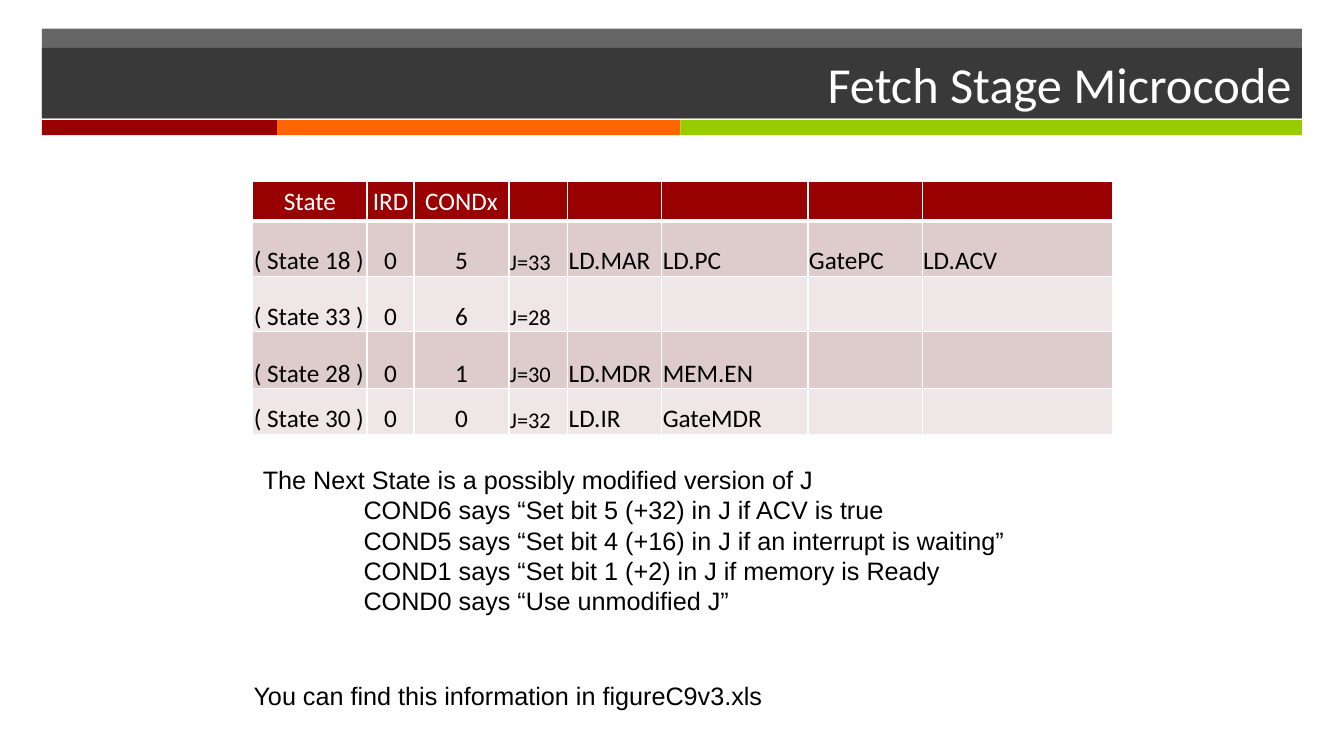
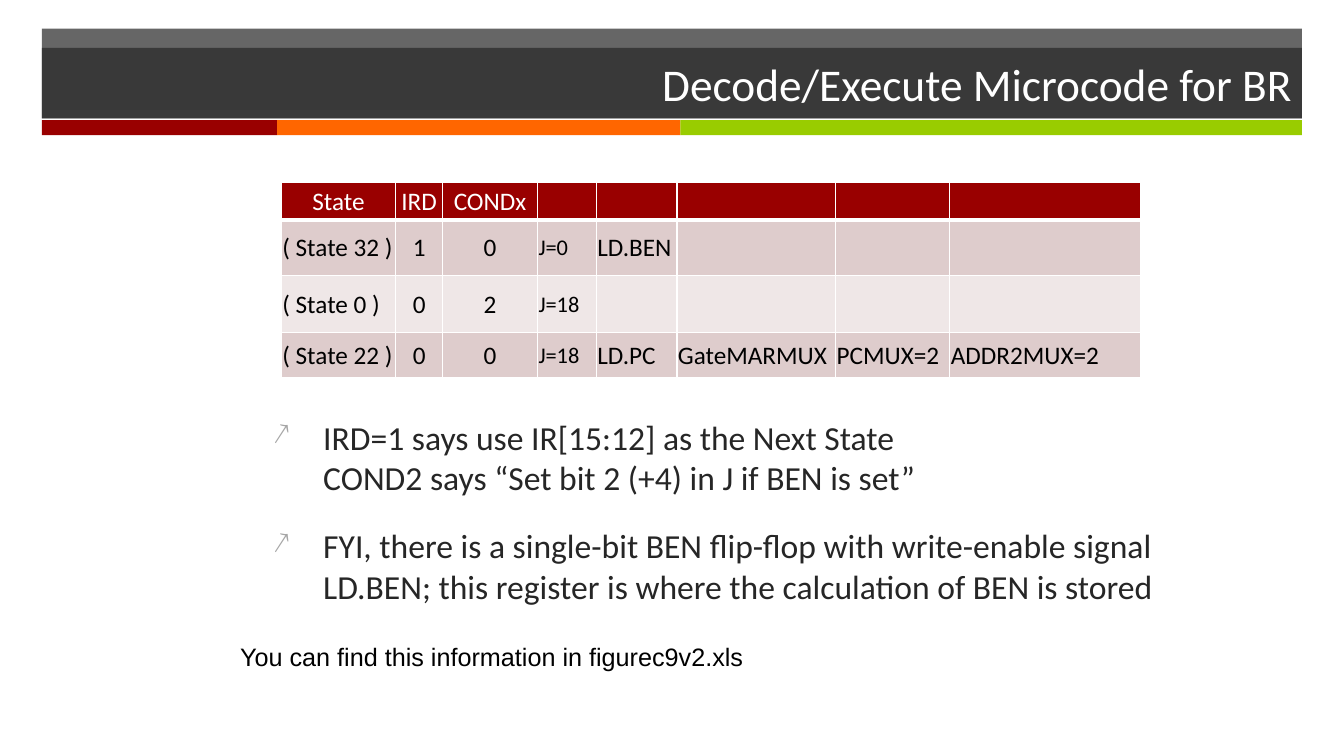
"""Build two slides on microcode tables, set on a grid of 160 columns by 90 rows."""
from lxml.etree import SubElement as Sub
from pptx import Presentation
from pptx.dml.color import RGBColor as Rgb
from pptx.enum.shapes import MSO_SHAPE as Shape
from pptx.enum.text import MSO_ANCHOR as Anchor, MSO_AUTO_SIZE as Fit, PP_ALIGN as Align
from pptx.oxml.ns import qn
from pptx.util import Inches, Pt

COLS, ROWS = 160, 90
UNIT = Inches(1) // 12
HUES = {"dark": "262626", "red": "990000", "orange": "FF6600", "green": "99CC00",
        "white": "FFFFFF", "black": "000000", "grey": "A6A6A6",
        "odd": "DECCCC", "even": "EFE7E7"}
LEFT, WIDTH = 5, 150
STRIPES = [("red", 28), ("orange", 48), ("green", 74)]
HEAD = ["State", "IRD", "CONDx"]


def grid(*cells):
    """Turn grid counts into lengths."""
    return [round(cell * UNIT) for cell in cells]


def paint(fill, hue):
    """Give a fill one solid colour."""
    fill.solid()
    fill.fore_color.rgb = Rgb.from_string(HUES[hue])


def veil(shape, share):
    """Make the fill of a shape partly clear."""
    tint = shape.element.find(".//" + qn("a:srgbClr"))
    Sub(tint, qn("a:alpha"), val=str(share * 1000))


def mark(para, sign):
    """Put a grey bullet sign on a paragraph."""
    props = para._p.get_or_add_pPr()
    Sub(Sub(props, qn("a:buClr")), qn("a:srgbClr"), val=HUES["grey"])
    Sub(props, qn("a:buSzPct"), val="90000")
    Sub(props, qn("a:buChar"), char=sign)


def write(frame, text, size=18, font="Arial", hue="black", align=Align.LEFT,
          indent=0, hang=0, sign=None, before=0):
    """Add one formatted paragraph to a text frame."""
    first = not frame.text
    para = frame.paragraphs[0] if first else frame.add_paragraph()
    para.text = text
    para.alignment = align
    if not first:
        para.space_before = Pt(before)
    if indent:
        props = para._p.get_or_add_pPr()
        props.set("marL", str(indent * UNIT))
        props.set("indent", str(-hang * UNIT))
    if sign:
        mark(para, sign)
    for run in para.runs:
        run.font.size, run.font.name, run.font.bold = Pt(size), font, False
        run.font.color.rgb = Rgb.from_string(HUES[hue])


def box(slide, x, y, w, h):
    """Add a wrapping text box and return its frame."""
    frame = slide.shapes.add_textbox(*grid(x, y, w, h)).text_frame
    frame.word_wrap = True
    return frame


def band(slide, layout, hue, *place):
    """Draw a plain bar and move it to the layout, behind all slides."""
    bar = slide.shapes.add_shape(Shape.RECTANGLE, *grid(*place))
    bar.shadow.inherit = False
    bar.line.fill.background()
    paint(bar.fill, hue)
    layout.shapes.element.append(bar.element)
    return bar


def dress(slide, layout):
    """Set the shared bands on the layout."""
    veil(band(slide, layout, "dark", LEFT, 3.4, WIDTH, 10.7), 70)
    x = LEFT
    for hue, width in STRIPES:
        band(slide, layout, hue, x, 14.3, width, 1.8)
        x += width


def name(slide, text, size):
    """Place and format the title."""
    title = slide.shapes.title
    title.left, title.top, title.width, title.height = grid(LEFT, 5.7, WIDTH, 8.4)
    paint(title.fill, "dark")
    veil(title, 70)
    frame = title.text_frame
    frame.auto_size, frame.vertical_anchor = Fit.NONE, Anchor.MIDDLE
    write(frame, text, size=size, font="Calibri", hue="white", align=Align.RIGHT)


def edge(cell, row):
    """Rule a cell in white, with a thick line below the head row."""
    props = cell._tc.get_or_add_tcPr()
    for side in "LRTB":
        thick = (row, side) in [(0, "B"), (1, "T")]
        line = Sub(props, qn("a:ln" + side), w=str(Pt(3 if thick else 1)))
        Sub(Sub(line, qn("a:solidFill")), qn("a:srgbClr"), val=HUES["white"])


def table(slide, x, y, widths, heights, states, anchor):
    """Add a table of states below a red head row."""
    data = [HEAD] + states
    place = grid(x, y, sum(widths), sum(heights))
    sheet = slide.shapes.add_table(len(data), len(widths), *place).table
    for col, width in zip(sheet.columns, grid(*widths)):
        col.width = width
    for row, height in zip(sheet.rows, grid(*heights)):
        row.height = height
    for r, texts in enumerate(data):
        for c in range(len(widths)):
            cell = sheet.cell(r, c)
            edge(cell, r)
            paint(cell.fill, "odd" if r % 2 else "even" if r else "red")
            cell.margin_left = cell.margin_right = cell.margin_top = Inches(0.01)
            cell.margin_bottom = 0
            cell.vertical_anchor = anchor if r else Anchor.MIDDLE
            if c < len(texts):
                write(cell.text_frame, texts[c], size=16 if c == 3 else 18,
                      font="Calibri", hue="black" if r else "white",
                      align=Align.CENTER if r == 0 or c in (1, 2) else Align.LEFT)


def fetch(slide):
    """Fill the slide on the fetch stage."""
    name(slide, "Fetch Stage Microcode", 36)
    table(slide, 30.1, 21.6, [13.6, 5.6, 11.3, 7, 11.2, 17.4, 13.6, 22.7],
          [4.7, 6.6, 6.6, 6.8, 5.4],
          [["( State 18 )", "0", "5", "J=33", "LD.MAR", "LD.PC", "GatePC", "LD.ACV"],
           ["( State 33 )", "0", "6", "J=28"],
           ["( State 28 )", "0", "1", "J=30", "LD.MDR", "MEM.EN"],
           ["( State 30 )", "0", "0", "J=32", "LD.IR", "GateMDR"]], Anchor.BOTTOM)
    write(box(slide, 29, 80.4, 99, 4.8), "You can find this information in figureC9v3.xls")
    notes = box(slide, 30.1, 54.7, 105, 19.4)
    write(notes, "The Next State is a possibly modified version of J")
    for text in ("COND6 says “Set bit 5 (+32) in J if ACV is true",
                 "COND5 says “Set bit 4 (+16) in J if an interrupt is waiting”",
                 "COND1 says “Set bit 1 (+2) in J if memory is Ready",
                 "COND0 says “Use unmodified J”"):
        write(notes, text, indent=12)


def decode(slide):
    """Fill the slide on the branch code."""
    name(slide, "Decode/Execute Microcode for BR", 32.4)
    notes = box(slide, 31.3, 49, 111, 29)
    for text in ("IRD=1 says use IR[15:12] as the Next State\n"
                 "COND2 says “Set bit 2 (+4) in J if BEN is set”",
                 "FYI, there is a single-bit BEN flip-flop with write-enable signal "
                 "LD.BEN; this register is where the calculation of BEN is stored"):
        write(notes, text, size=24, font="Calibri", hue="dark",
              indent=6, hang=6, sign="↗", before=20)
    table(slide, 33.5, 21.7, [13.6, 5.6, 11.3, 7, 9.6, 18.9, 13.6, 22.7],
          [4.5, 6.6, 6.8, 5.4],
          [["( State 32 )", "1", "0", "J=0", "LD.BEN"],
           ["( State 0 )", "0", "2", "J=18"],
           ["( State 22 )", "0", "0", "J=18", "LD.PC", "GateMARMUX", "PCMUX=2",
            "ADDR2MUX=2"]], Anchor.MIDDLE)
    write(box(slide, 27.4, 75.8, 99, 4.8), "You can find this information in figurec9v2.xls")


def main():
    """Build and save the deck."""
    deck = Presentation()
    deck.slide_width, deck.slide_height = grid(COLS, ROWS)
    layout = deck.slide_layouts[5]
    slides = [deck.slides.add_slide(layout) for _ in range(2)]
    dress(slides[0], layout)
    for fill, slide in zip((fetch, decode), slides):
        fill(slide)
    deck.save("out.pptx")


if __name__ == "__main__":
    main()
